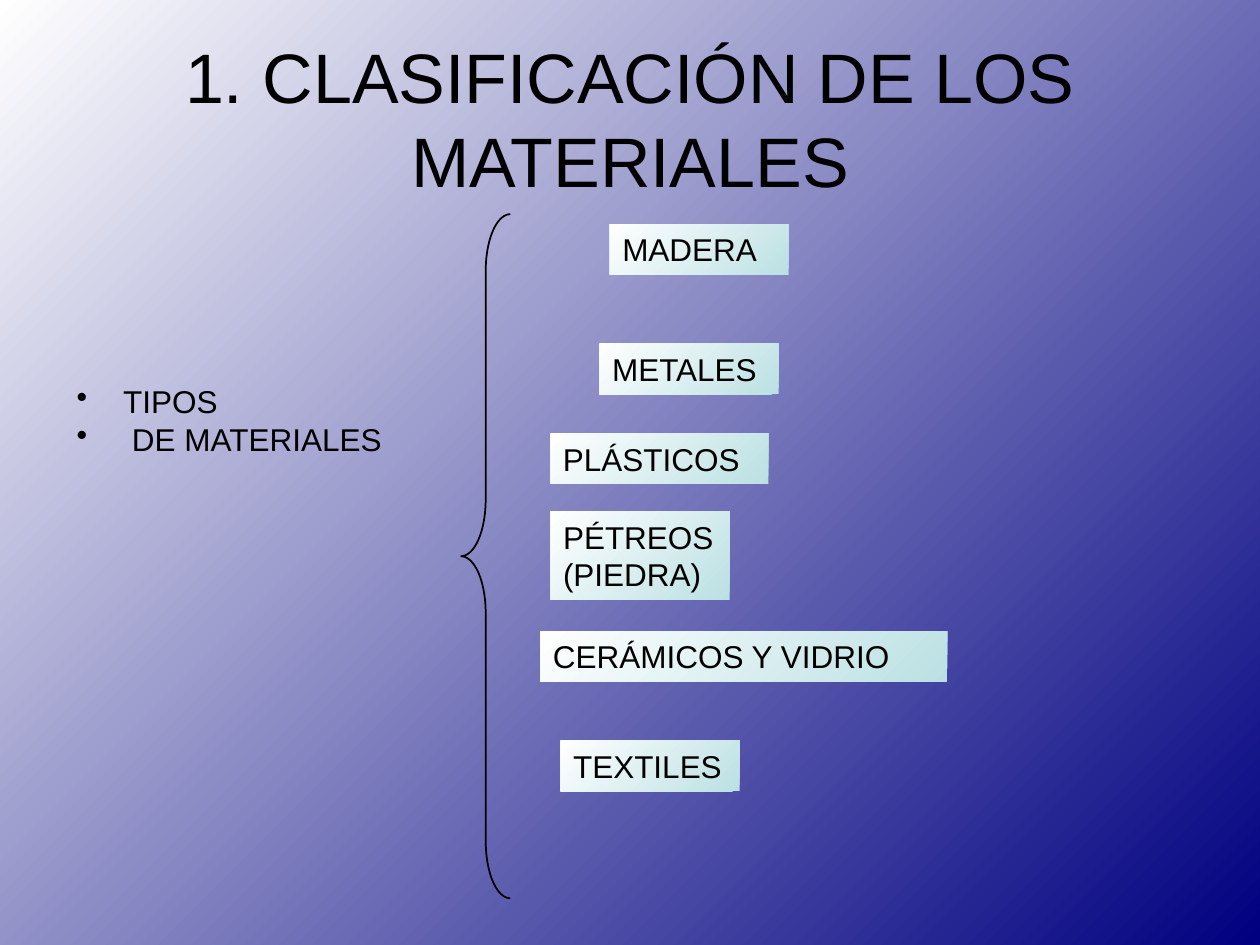
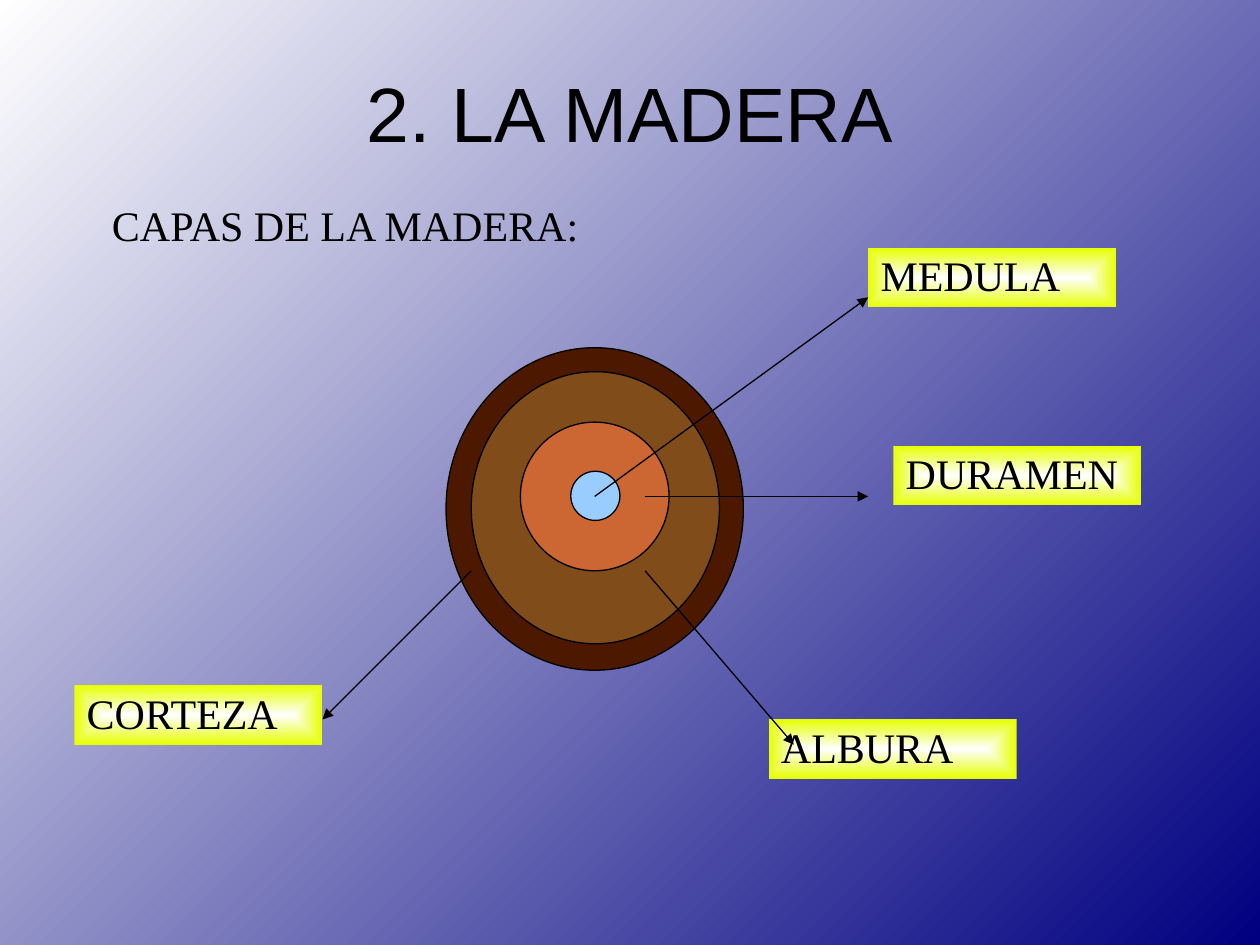
from dataclasses import dataclass
from typing import NamedTuple

from lxml import etree
from pptx import Presentation
from pptx.dml.color import RGBColor
from pptx.enum.shapes import MSO_CONNECTOR, MSO_SHAPE
from pptx.enum.text import MSO_ANCHOR, PP_ALIGN
from pptx.oxml.ns import qn
from pptx.util import Inches, Pt

RECT, OVAL, BRACE = MSO_SHAPE.RECTANGLE, MSO_SHAPE.OVAL, MSO_SHAPE.LEFT_BRACE
STRAIGHT = MSO_CONNECTOR.STRAIGHT
LEFT, CENTER = PP_ALIGN.LEFT, PP_ALIGN.CENTER
TOP, MIDDLE = MSO_ANCHOR.TOP, MSO_ANCHOR.MIDDLE


@dataclass(frozen=True)
class Theme:
    ink: str = "000000"
    white: str = "FFFFFF"
    navy: str = "000080"
    aqua: str = "BBE0E3"
    lemon: str = "E6FF00"
    bark: str = "4C1900"
    sapwood: str = "804C19"
    heart: str = "CC6633"
    pith: str = "99CCFF"
    sans: str = "Arial"
    serif: str = "Times New Roman"
    small: float = 18
    medium: float = 24
    large: float = 40
    huge: float = 44
    thin: float = 0.75
    thick: float = 1


THEME = Theme()


class Box(NamedTuple):
    x: float
    y: float
    w: float
    h: float


class Label(NamedTuple):
    text: str
    box: Box


class Ring(NamedTuple):
    box: Box
    color: str


class Arrow(NamedTuple):
    x1: float
    y1: float
    x2: float
    y2: float


LINE_H, TAG_W, TAG_H = 0.4, 1.97, 0.47

TYPES = [
    Label("MADERA", Box(4.84, 1.78, 1.42, LINE_H)),
    Label("METALES", Box(4.76, 2.73, 1.42, LINE_H)),
    Label("PLÁSTICOS", Box(4.37, 3.44, 1.73, LINE_H)),
    Label("PÉTREOS (PIEDRA)", Box(4.37, 4.06, 1.42, 0.7)),
    Label("CERÁMICOS Y VIDRIO", Box(4.29, 5.01, 3.23, LINE_H)),
    Label("TEXTILES", Box(4.45, 5.88, 1.42, LINE_H)),
]

RINGS = [
    Ring(Box(3.54, 2.76, 2.36, 2.56), THEME.bark),
    Ring(Box(3.74, 2.95, 1.97, 2.16), THEME.sapwood),
    Ring(Box(4.13, 3.35, 1.18, 1.18), THEME.heart),
    Ring(Box(4.53, 3.74, 0.39, 0.39), THEME.pith),
]

LAYERS = [
    Label("MEDULA", Box(6.89, 1.97, TAG_W, TAG_H)),
    Label("DURAMEN", Box(7.09, 3.54, TAG_W, TAG_H)),
    Label("ALBURA", Box(6.1, 5.71, TAG_W, TAG_H)),
    Label("CORTEZA", Box(0.59, 5.44, TAG_W, TAG_H)),
]

ARROWS = [
    Arrow(4.72, 3.94, 6.89, 2.36),
    Arrow(5.12, 3.94, 6.89, 3.94),
    Arrow(5.12, 4.53, 6.3, 5.91),
    Arrow(3.74, 4.53, 2.56, 5.71),
]


def rgb(color: str) -> RGBColor:
    return RGBColor.from_string(color)


def blend(fill, start: str, end: str, angle: float) -> None:
    """Fill with a two-colour gradient; the angle runs counter-clockwise."""
    fill.gradient()
    fill.gradient_angle = angle
    for stop, color in zip(fill.gradient_stops, (start, end)):
        stop.color.rgb = rgb(color)


def center_blend(shape) -> None:
    """Make the shape's gradient spread from its centre to its edges."""
    grad = shape._element.spPr.find(qn("a:gradFill"))
    lin = grad.find(qn("a:lin"))
    spread = etree.Element(qn("a:path"), {"path": "rect"})
    sides = dict.fromkeys("ltrb", "50000")
    etree.SubElement(spread, qn("a:fillToRect"), sides)
    grad.replace(lin, spread)


def add_bullet(para) -> None:
    props = para._p.get_or_add_pPr()
    props.set("marL", str(Inches(0.37)))
    props.set("indent", str(-Inches(0.37)))
    etree.SubElement(props, qn("a:buChar"), {"char": "•"})


def write(shape, *lines: str, size: float, font: str = THEME.sans,
          align=LEFT, anchor=TOP, inset: float = 0.1, spacing: float = 1,
          before: float = 0, bullet: bool = False) -> None:
    frame = shape.text_frame
    frame.word_wrap = True
    frame.vertical_anchor = anchor
    frame.margin_left = frame.margin_right = Inches(inset)
    frame.margin_top = frame.margin_bottom = Inches(inset / 2)
    for index, line in enumerate(lines):
        para = frame.add_paragraph() if index else frame.paragraphs[0]
        para.alignment = align
        para.line_spacing = spacing
        para.space_before = Pt(before)
        if bullet:
            add_bullet(para)
        run = para.add_run()
        run.text = line
        run.font.size = Pt(size)
        run.font.name = font
        run.font.color.rgb = rgb(THEME.ink)


def add_text(slide, box: Box, *lines: str, **style) -> None:
    write(slide.shapes.add_textbox(*map(Inches, box)), *lines, **style)


def add_shape(slide, kind, box: Box, line: float = 0):
    shape = slide.shapes.add_shape(kind, *map(Inches, box))
    shape.shadow.inherit = False
    if line:
        shape.line.color.rgb = rgb(THEME.ink)
        shape.line.width = Pt(line)
    else:
        shape.line.fill.background()
    return shape


def add_brace(slide, box: Box) -> None:
    brace = add_shape(slide, BRACE, box, THEME.thick)
    brace.fill.background()
    brace.adjustments[0] = 1.16


def add_type(slide, label: Label) -> None:
    shape = add_shape(slide, RECT, label.box)
    blend(shape.fill, THEME.aqua, THEME.white, 135)
    write(shape, label.text, size=THEME.small)


def add_layer(slide, label: Label) -> None:
    shape = add_shape(slide, RECT, label.box)
    blend(shape.fill, THEME.white, THEME.lemon, 0)
    center_blend(shape)
    write(shape, label.text, size=THEME.medium, font=THEME.serif, spacing=0.93)


def add_ring(slide, ring: Ring) -> None:
    shape = add_shape(slide, OVAL, ring.box, THEME.thin)
    shape.fill.solid()
    shape.fill.fore_color.rgb = rgb(ring.color)


def add_arrow(slide, arrow: Arrow) -> None:
    line = slide.shapes.add_connector(STRAIGHT, *map(Inches, arrow))
    line.line.color.rgb = rgb(THEME.ink)
    line.line.width = Pt(THEME.thin)
    etree.SubElement(line.line._get_or_add_ln(), qn("a:tailEnd"), {"type": "triangle"})
    etree.SubElement(line._element.spPr, qn("a:effectLst"))


def add_slide(deck, title: str, box: Box, **style):
    """Add a slide with the shared background and a centred title."""
    slide = deck.slides.add_slide(deck.slide_layouts[6])
    blend(slide.background.fill, THEME.white, THEME.navy, 315)
    add_text(slide, box, title, align=CENTER, anchor=MIDDLE, **style)
    return slide


def build_types(deck) -> None:
    slide = add_slide(deck, "1. CLASIFICACIÓN DE LOS MATERIALES",
                      Box(0.5, 0.21, 9, 1.44), size=THEME.large)
    add_text(slide, Box(0.51, 3.04, 2.83, 0.66), "TIPOS", " DE MATERIALES",
             size=THEME.small, spacing=0.8, before=4.5, bullet=True)
    add_brace(slide, Box(3.66, 1.7, 0.39, 5.43))
    for label in TYPES:
        add_type(slide, label)


def build_wood(deck) -> None:
    slide = add_slide(deck, "2. LA MADERA", Box(0.5, 0.35, 9, 1.15),
                      size=THEME.huge, inset=0, spacing=0.93)
    add_text(slide, Box(0.79, 1.57, 4.72, TAG_H), "CAPAS DE LA MADERA:",
             size=THEME.medium, font=THEME.serif, spacing=0.93)
    for ring in RINGS:
        add_ring(slide, ring)
    for label in LAYERS:
        add_layer(slide, label)
    for arrow in ARROWS:
        add_arrow(slide, arrow)


def main() -> None:
    deck = Presentation()
    deck.slide_width, deck.slide_height = Inches(10), Inches(7.5)
    build_types(deck)
    build_wood(deck)
    deck.save("out.pptx")


if __name__ == "__main__":
    main()
